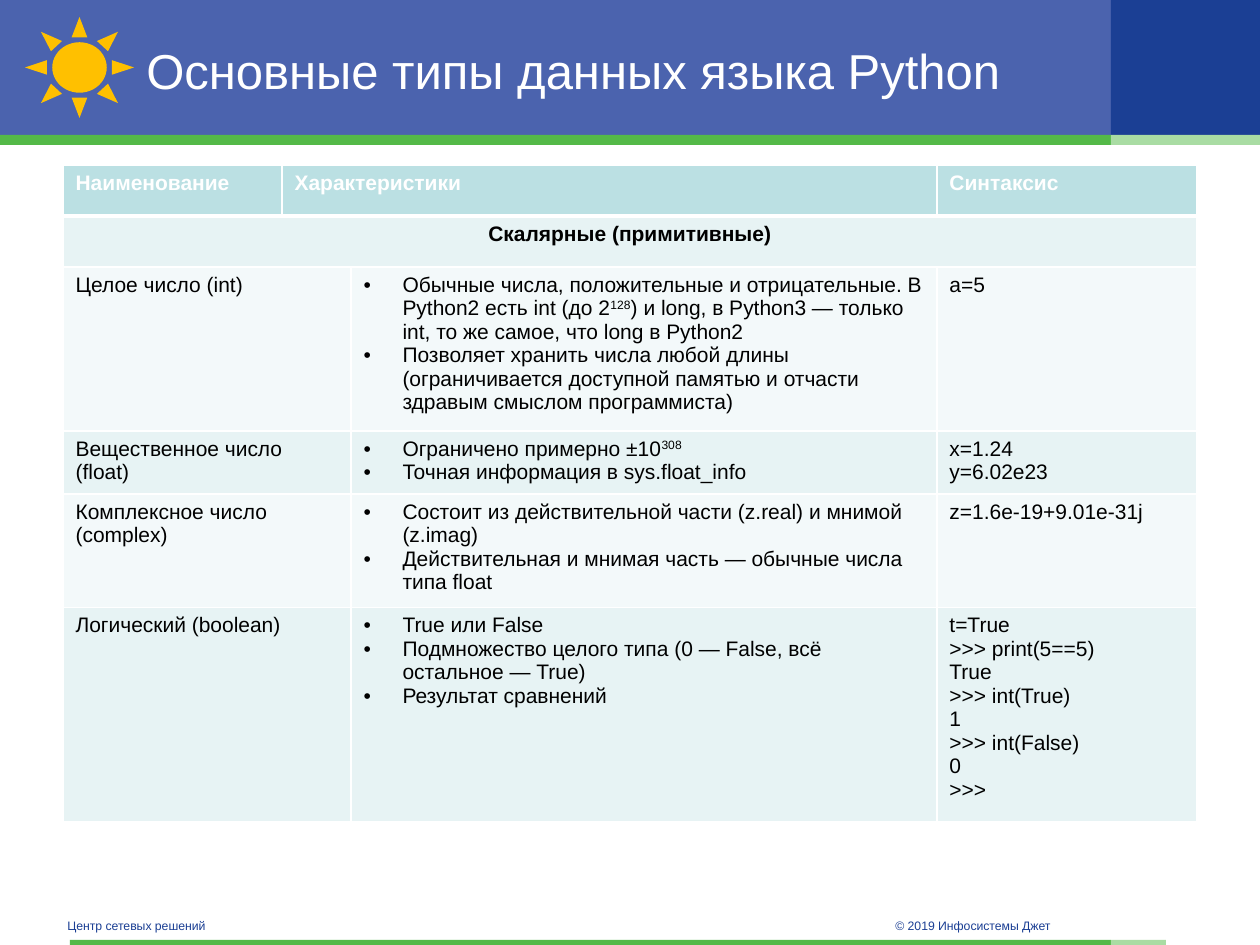
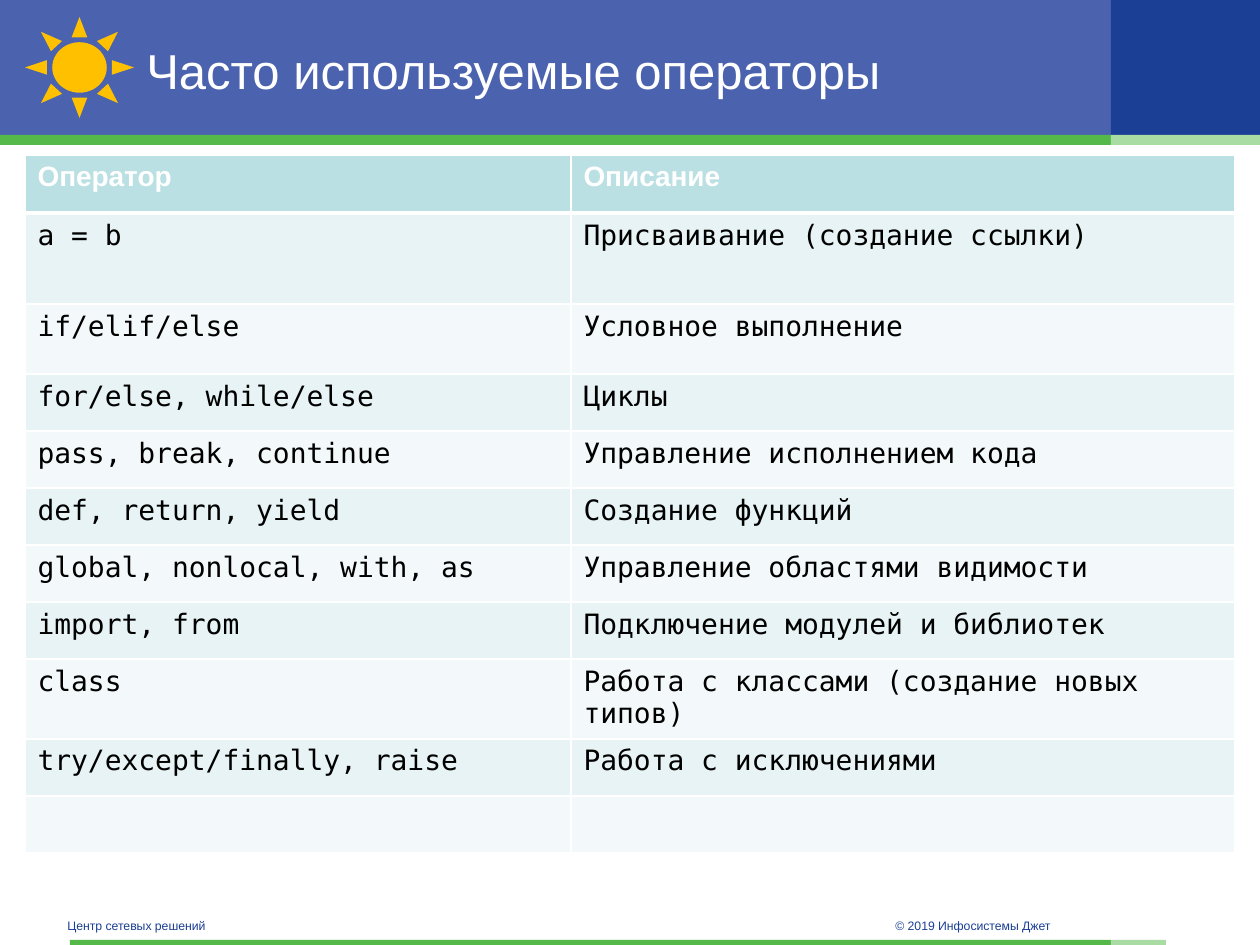
from dataclasses import dataclass

from lxml.etree import SubElement
from pptx import Presentation
from pptx.dml.color import RGBColor as RGB
from pptx.enum.shapes import MSO_SHAPE as SHAPE
from pptx.enum.text import MSO_ANCHOR as ANCHOR, PP_ALIGN as ALIGN
from pptx.oxml import parse_xml
from pptx.oxml.ns import nsdecls, qn
from pptx.util import Emu, Pt

PX = 914400 // 126


@dataclass(frozen=True)
class Theme:
    font: str = "Arial"
    mono: str = "DejaVu Sans Mono"
    band: str = "4B63AE"
    navy: str = "1B3F94"
    green: str = "54B948"
    light_green: str = "A9DCA3"
    sun: str = "FFC000"
    white: str = "FFFFFF"
    black: str = "000000"
    header: str = "BBE0E3"
    odd_row: str = "E7F3F4"
    even_row: str = "F3F9FA"
    title_size: int = 28
    types_size: int = 12
    operators_size: int = 16
    footer_size: int = 7


T = Theme()

# None marks a cell covered by its left neighbour.
TYPES = [
    [["Наименование"], ["Характеристики"], None, ["Синтаксис"]],
    [["Скалярные (примитивные)"], None, None, None],
    [["Целое число (int)"], None,
     ["Обычные числа, положительные и отрицательные. В Python2 есть int "
      "(до 2^128^) и long, в Python3 — только int, то же самое, что long в Python2",
      "Позволяет хранить числа любой длины (ограничивается доступной памятью "
      "и отчасти здравым смыслом программиста)"],
     ["a=5"]],
    [["Вещественное число (float)"], None,
     ["Ограничено примерно ±10^308^", "Точная информация в sys.float_info"],
     ["x=1.24", "y=6.02e23"]],
    [["Комплексное число (complex)"], None,
     ["Состоит из действительной части (z.real) и мнимой (z.imag)",
      "Действительная и мнимая часть — обычные числа типа float"],
     ["z=1.6e-19+9.01e-31j"]],
    [["Логический (boolean)"], None,
     ["True или False",
      "Подмножество целого типа (0 — False, всё остальное — True)",
      "Результат сравнений"],
     ["t=True", ">>> print(5==5)", "True", ">>> int(True)", "1",
      ">>> int(False)", "0", ">>>"]],
]

OPERATORS = [
    ("Оператор", "Описание"),
    ("a = b", "Присваивание (создание ссылки)"),
    ("if/elif/else", "Условное выполнение"),
    ("for/else, while/else", "Циклы"),
    ("pass, break, continue", "Управление исполнением кода"),
    ("def, return, yield", "Создание функций"),
    ("global, nonlocal, with, as", "Управление областями видимости"),
    ("import, from", "Подключение модулей и библиотек"),
    ("class", "Работа с классами (создание новых типов)"),
    ("try/except/finally, raise", "Работа с исключениями"),
    (None, None),
]


def px(*values):
    return [Emu(v * PX) for v in values]


def add_runs(p, text, size, color, font=T.font, bold=False):
    """Add text to a paragraph; parts between carets become superscript."""
    for i, part in enumerate(text.split("^")):
        if not part:
            continue
        r = p.add_run()
        r.text = part
        r.font.name, r.font.size, r.font.bold = font, Pt(size), bold
        r.font.color.rgb = RGB.from_string(color)
        if i % 2:
            r.font._element.set("baseline", "30000")


def add_bullet(p, indent=39):
    pPr = p._p.get_or_add_pPr()
    pPr.set("marL", str(indent * PX))
    pPr.set("indent", str(-indent * PX))
    SubElement(pPr, qn("a:buFont"), typeface=T.font)
    SubElement(pPr, qn("a:buChar"), char="•")


def add_block(slide, box, color, kind=SHAPE.RECTANGLE):
    sp = slide.shapes.add_shape(kind, *px(*box))
    sp.shadow.inherit = False
    sp.fill.solid()
    sp.fill.fore_color.rgb = RGB.from_string(color)
    sp.line.fill.background()


def add_label(slide, box, text, size, color):
    tf = slide.shapes.add_textbox(*px(*box)).text_frame
    tf.word_wrap = True
    tf.vertical_anchor = ANCHOR.MIDDLE
    add_runs(tf.paragraphs[0], text, size, color)


def set_borders(cell, top=1, bottom=1):
    tcPr = cell._tc.get_or_add_tcPr()
    widths = {"lnL": 1, "lnR": 1, "lnT": top, "lnB": bottom}
    for i, (tag, width) in enumerate(widths.items()):
        tcPr.insert(i, parse_xml(
            f'<a:{tag} {nsdecls("a")} w="{Pt(width)}"><a:solidFill>'
            f'<a:srgbClr val="{T.white}"/></a:solidFill></a:{tag}>'))


def add_grid(slide, left, top, cols, heights):
    """Add an empty table with a header row and banded body rows."""
    box = px(left, top, sum(cols), sum(heights))
    table = slide.shapes.add_table(len(heights), len(cols), *box).table
    table.first_row = table.horz_banding = False
    for col, width in zip(table.columns, px(*cols)):
        col.width = width
    for i, (row, height) in enumerate(zip(table.rows, px(*heights))):
        row.height = height
        fill = T.header if i == 0 else T.odd_row if i % 2 else T.even_row
        for cell in row.cells:
            cell.fill.solid()
            cell.fill.fore_color.rgb = RGB.from_string(fill)
            set_borders(cell, 3 if i == 1 else 1, 3 if i == 0 else 1)
    return table


def fill_cell(cell, lines, bullets=False, align=ALIGN.LEFT, **style):
    tf = cell.text_frame
    for i, line in enumerate(lines):
        p = tf.paragraphs[0] if i == 0 else tf.add_paragraph()
        p.alignment = align
        if bullets:
            add_bullet(p)
        add_runs(p, line, **style)


def merge_covered(table, row, cells):
    """Merge each filled cell with the None cells that follow it."""
    start = 0
    for col in range(1, len(cells) + 1):
        if col == len(cells) or cells[col] is not None:
            if col - start > 1:
                table.cell(row, start).merge(table.cell(row, col - 1))
            start = col


def add_types_table(slide):
    table = add_grid(slide, 63, 165, [219, 69, 586, 260],
                     [51, 51, 154, 59, 107, 200])
    for i, cells in enumerate(TYPES):
        merge_covered(table, i, cells)
        for j, lines in enumerate(cells):
            if lines:
                fill_cell(table.cell(i, j), lines,
                          bullets=i > 1 and j == 2,
                          align=ALIGN.CENTER if i == 1 else ALIGN.LEFT,
                          size=T.types_size, bold=i < 2,
                          color=T.black if i else T.white)


def add_operators_table(slide):
    table = add_grid(slide, 25, 155, [546, 664],
                     [58, 91, 70] + [57] * 5 + [78, 57, 57])
    for i, cells in enumerate(OPERATORS):
        for j, text in enumerate(cells):
            if text:
                fill_cell(table.cell(i, j), [text], size=T.operators_size,
                          color=T.black if i else T.white, bold=i == 0,
                          font=T.mono if i else T.font)


def add_framed_slide(prs, title):
    """Add a slide with the title band, sun emblem and footer."""
    slide = prs.slides.add_slide(prs.slide_layouts[6])
    split = 1111
    rest = 1260 - split
    add_block(slide, (0, 0, split, 135), T.band)
    add_block(slide, (split, 0, rest, 135), T.navy)
    add_block(slide, (0, 135, split, 10), T.green)
    add_block(slide, (split, 135, rest, 10), T.light_green)
    add_block(slide, (70, 940, split - 70, 5), T.green)
    add_block(slide, (split, 940, 55, 5), T.light_green)
    add_label(slide, (883, 913, 297, 25), "© 2019 Инфосистемы Джет",
              T.footer_size, T.navy)
    add_label(slide, (55, 911, 416, 29), "Центр сетевых решений",
              T.footer_size, T.navy)
    add_label(slide, (134, 20, 953, 100), title, T.title_size, T.white)
    add_block(slide, (25, 17, 109, 101), T.sun, SHAPE.SUN)
    return slide


def main():
    prs = Presentation()
    prs.slide_width, prs.slide_height = px(1260, 945)
    add_types_table(add_framed_slide(prs, "Основные типы данных языка Python"))
    add_operators_table(add_framed_slide(prs, "Часто используемые операторы"))
    prs.save("out.pptx")


if __name__ == "__main__":
    main()
